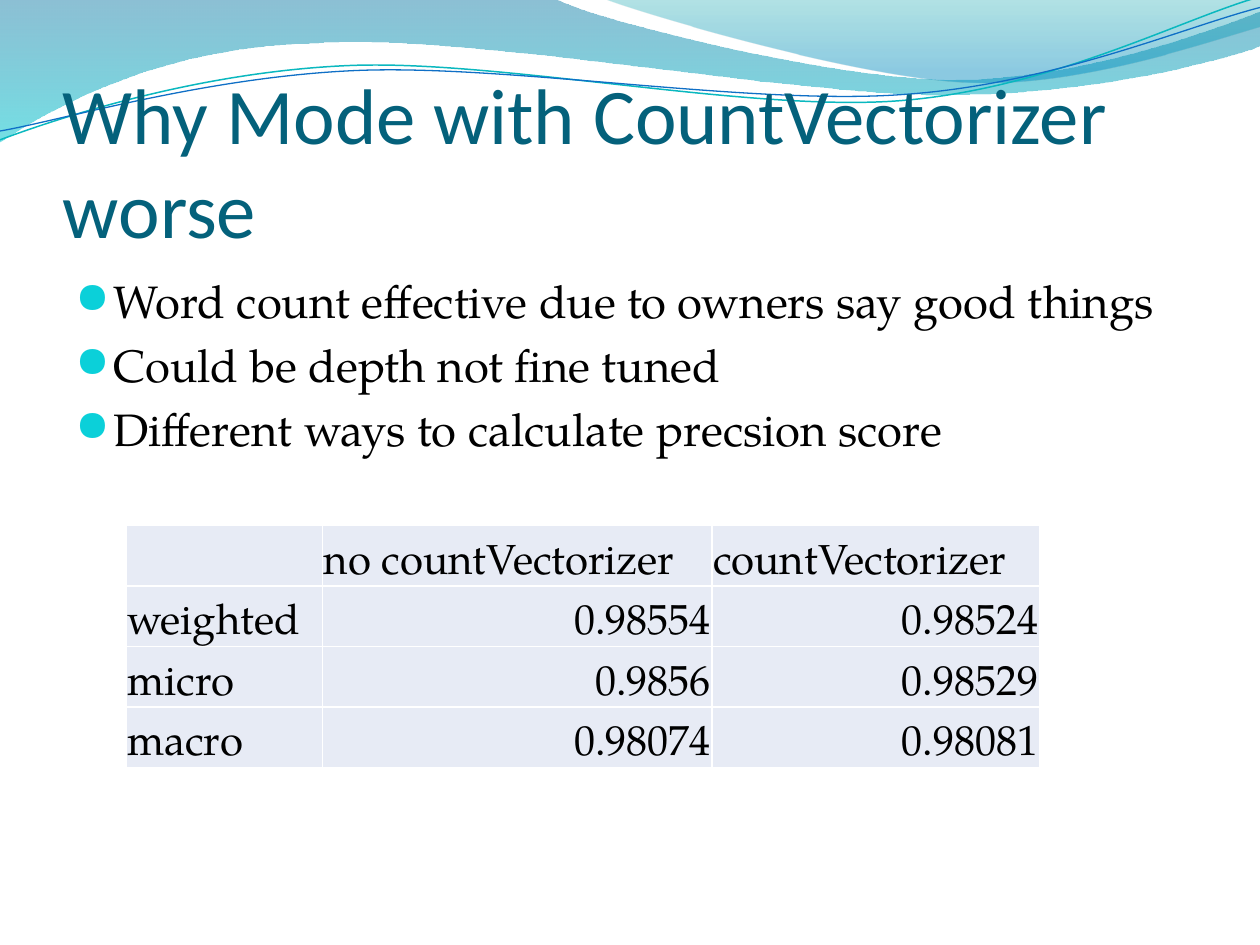
from dataclasses import dataclass
from math import cos, radians, sin

from lxml.etree import SubElement
from pptx import Presentation
from pptx.dml.color import RGBColor
from pptx.enum.text import MSO_ANCHOR, PP_ALIGN
from pptx.oxml import parse_xml
from pptx.oxml.ns import nsdecls, qn
from pptx.util import Inches, Pt

COLORS = {
    "title": "04617B", "text": "000000", "bullet": "0BD0D9",
    "cell": "E7EBF5", "border": "FFFFFF",
    "deep_blue": "0074A1", "cyan": "00C6CF", "teal": "00A1A9", "sky": "008BBF",
    "teal_line": "0AB8BF", "blue_line": "0F6FC6",
}
HEAD_FONT, BODY_FONT, BULLET_FONT = "Calibri", "TeX Gyre Pagella", "OpenSymbol"
TILT = -2.7  # degrees, for the two thin waves


@dataclass
class Stop:
    position: float
    color: str
    opacity: int  # percent


@dataclass
class Wave:
    """Path whose segments hold one point (line) or three points (cubic curve)."""
    start: tuple
    segments: list
    stops: tuple = ()
    line: str = ""
    width: float = 0
    pivot: tuple = ()  # centre of the tilt


WAVES = [
    Wave((0, 0), [
        [(4.4, -0.01)],
        [(4.76, 0.17), (6.64, 0.63), (7.58, 0.63)],
        [(8.53, 0.63), (9.58, 0.26), (10, 0.09)],
        [(10.01, 0.36)],
        [(9.83, 0.44), (8.7, 0.76), (7.46, 0.75)],
        [(6.22, 0.75), (3.82, 0.28), (2.57, 0.34)],
        [(1.29, 0.36), (0.46, 0.83), (-0.01, 1.13)],
    ], stops=(Stop(0, "deep_blue", 45), Stop(1, "cyan", 55))),
    Wave((4.79, -0.01), [
        [(5.09, 0.11), (6.82, 0.62), (7.69, 0.65)],
        [(8.56, 0.69), (9.61, 0.32), (10, 0.21)],
        [(10, 0)],
    ], stops=(Stop(0, "teal", 30), Stop(0.8, "sky", 45))),
    Wave((0, 1.11), [
        [(0.48, 0.93), (1.58, 0.57), (2.77, 0.52)],
        [(3.95, 0.47), (5.93, 0.89), (7.13, 0.8)],
        [(8.33, 0.71), (9.38, 0.15), (9.98, -0.02)],
    ], line="teal_line", width=0.85, pivot=(4.99, 0.58)),
    Wave((0, 1.04), [
        [(0.47, 0.96), (1.64, 0.61), (2.83, 0.56)],
        [(4.03, 0.51), (5.97, 0.84), (7.17, 0.75)],
        [(8.36, 0.67), (9.41, 0.21), (10, 0.06)],
    ], line="blue_line", width=0.75, pivot=(5, 0.59)),
]

BULLETS = [
    "Word count effective due to owners say good things",
    "Could be depth not fine tuned",
    "Different ways to calculate precsion score",
]
SCORES = [
    ["", "no countVectorizer", "countVectorizer"],
    ["weighted", "0.98554", "0.98524"],
    ["micro", "0.9856", "0.98529"],
    ["macro", "0.98074", "0.98081"],
]
COLUMN_WIDTHS = [1.56, 3.09, 2.6]
ROW_HEIGHT = 0.48


def rgb(name: str) -> RGBColor:
    return RGBColor.from_string(COLORS[name])


def style_runs(p, font: str, size: float, color: str) -> None:
    for r in p.runs:
        r.font.name, r.font.size = font, Pt(size)
        r.font.color.rgb = rgb(color)


def untilt(point: tuple, pivot: tuple) -> tuple:
    """Turn a point back, so that the shape's own rotation tilts it into place."""
    a = radians(-TILT)
    dx, dy = point[0] - pivot[0], point[1] - pivot[1]
    return (pivot[0] + dx * cos(a) - dy * sin(a),
            pivot[1] + dx * sin(a) + dy * cos(a))


def curve_segments(sp, segments: list) -> None:
    """Join the three line steps of each cubic segment into one Bezier curve."""
    steps = iter(list(sp._element.iter(qn("a:lnTo"))))
    for segment in segments:
        first, *others = [next(steps) for _ in segment]
        if others:
            curve = parse_xml(f'<a:cubicBezTo {nsdecls("a")}/>')
            first.addprevious(curve)
            for step in (first, *others):
                curve.append(step[0])
                step.getparent().remove(step)


def add_wave(s, wave: Wave) -> None:
    points = [wave.start] + [pt for segment in wave.segments for pt in segment]
    if wave.pivot:
        points = [untilt(pt, wave.pivot) for pt in points]
    emu = [(Inches(x), Inches(y)) for x, y in points]
    builder = s.shapes.build_freeform(*emu[0])
    builder.add_line_segments(emu[1:], close=bool(wave.stops))
    sp = builder.convert_to_shape()
    curve_segments(sp, wave.segments)
    sp.shadow.inherit = False
    if wave.pivot:
        sp.rotation = TILT
    if not wave.stops:
        sp.fill.background()
        sp.line.color.rgb = rgb(wave.line)
        sp.line.width = Pt(wave.width)
        return
    sp.line.fill.background()
    sp.fill.gradient()
    sp.fill.gradient_angle = 270
    for gs, stop in zip(sp.fill.gradient_stops, wave.stops):
        gs.position = stop.position
        gs.color.rgb = rgb(stop.color)
    for clr, stop in zip(sp._element.spPr.iter(qn("a:srgbClr")), wave.stops):
        SubElement(clr, qn("a:alpha"), val=str(stop.opacity * 1000))


def add_title(s, text: str) -> None:
    tf = s.shapes.add_textbox(Inches(0.5), Inches(0.77), Inches(9), Inches(1.25)).text_frame
    tf.word_wrap = True
    tf.vertical_anchor = MSO_ANCHOR.BOTTOM
    tf.margin_left = tf.margin_right = tf.margin_bottom = 0
    tf.text = text
    style_runs(tf.paragraphs[0], HEAD_FONT, 45, "title")


def add_bullets(s, lines: list) -> None:
    tf = s.shapes.add_textbox(Inches(0.5), Inches(2.12), Inches(9), Inches(4.8)).text_frame
    tf.word_wrap = True
    tf.text = "\n".join(lines)
    for p in tf.paragraphs:
        p.space_before = Pt(5.2)
        style_runs(p, BODY_FONT, 26, "text")
        pPr = p._p.get_or_add_pPr()
        pPr.set("marL", str(Inches(0.3)))
        pPr.set("indent", str(Inches(-0.3)))
        color = SubElement(pPr, qn("a:buClr"))
        SubElement(color, qn("a:srgbClr"), val=COLORS["bullet"])
        SubElement(pPr, qn("a:buSzPct"), val="95000")
        SubElement(pPr, qn("a:buFont"), typeface=BULLET_FONT)
        SubElement(pPr, qn("a:buChar"), char="●")


def add_borders(cell) -> None:
    tcPr = cell._tc.get_or_add_tcPr()
    for i, side in enumerate(("lnL", "lnR", "lnT", "lnB")):
        tcPr.insert(i, parse_xml(
            f'<a:{side} {nsdecls("a")} w="{Pt(1)}"><a:solidFill>'
            f'<a:srgbClr val="{COLORS["border"]}"/></a:solidFill></a:{side}>'))


def add_score_table(s, rows: list) -> None:
    table = s.shapes.add_table(
        len(rows), len(COLUMN_WIDTHS), Inches(1), Inches(4.17),
        Inches(sum(COLUMN_WIDTHS)), Inches(ROW_HEIGHT * len(rows))).table
    for column, width in zip(table.columns, COLUMN_WIDTHS):
        column.width = Inches(width)
    for i, row in enumerate(rows):
        for j, text in enumerate(row):
            cell = table.cell(i, j)
            cell.margin_left = cell.margin_right = cell.margin_top = Inches(0.01)
            cell.margin_bottom = 0
            cell.vertical_anchor = MSO_ANCHOR.BOTTOM
            cell.fill.solid()
            cell.fill.fore_color.rgb = rgb("cell")
            add_borders(cell)
            p = cell.text_frame.paragraphs[0]
            p.text = text
            p.alignment = PP_ALIGN.RIGHT if i and j else PP_ALIGN.LEFT
            style_runs(p, BODY_FONT, 24, "text")


def main() -> None:
    prs = Presentation()
    prs.slide_width, prs.slide_height = Inches(10), Inches(7.5)
    s = prs.slides.add_slide(prs.slide_layouts[6])
    for wave in WAVES:
        add_wave(s, wave)
    add_title(s, "Why Mode with CountVectorizer worse")
    add_bullets(s, BULLETS)
    add_score_table(s, SCORES)
    prs.save("out.pptx")


if __name__ == "__main__":
    main()
